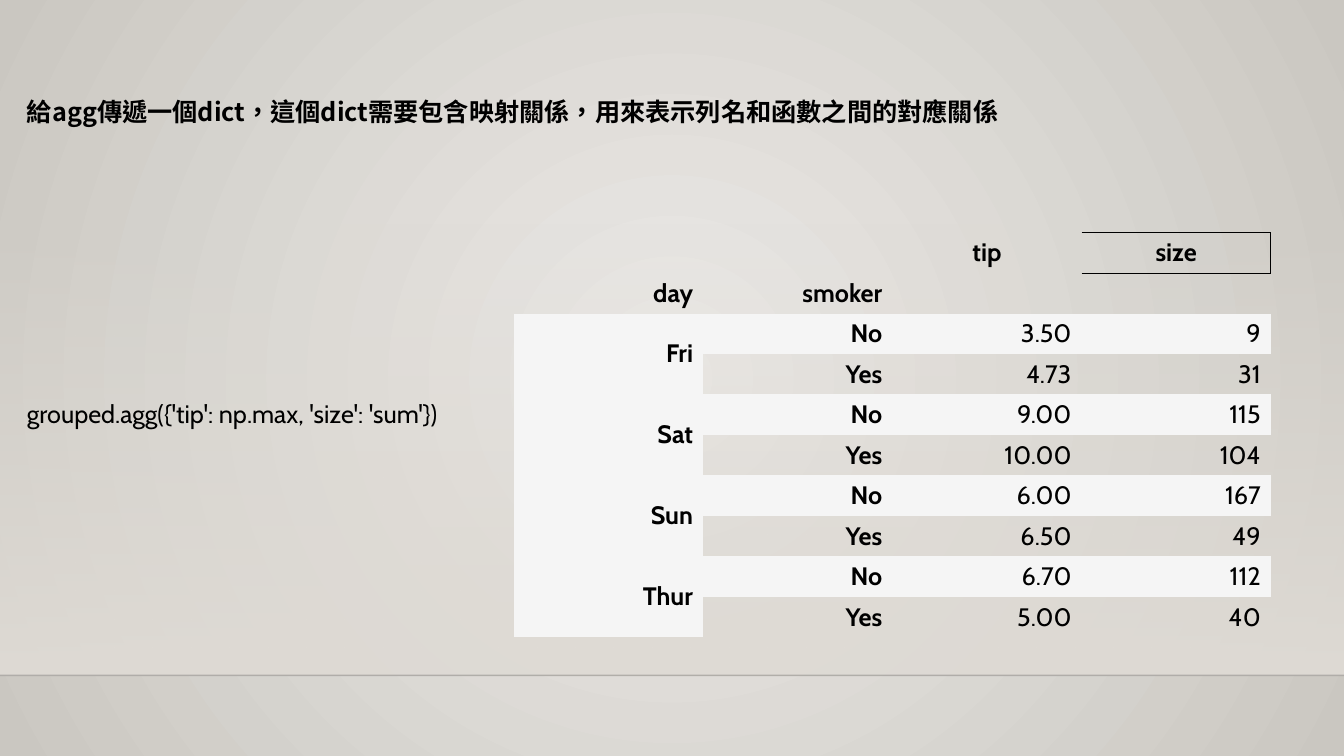
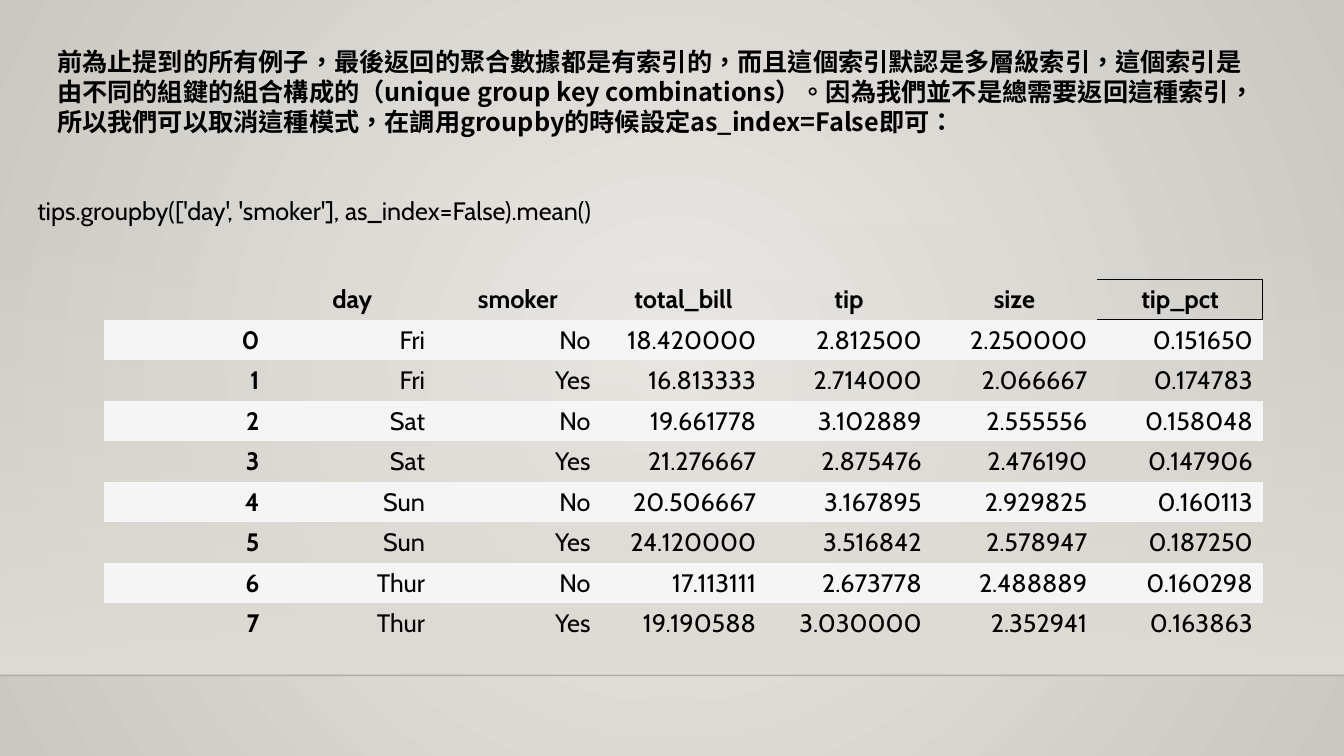
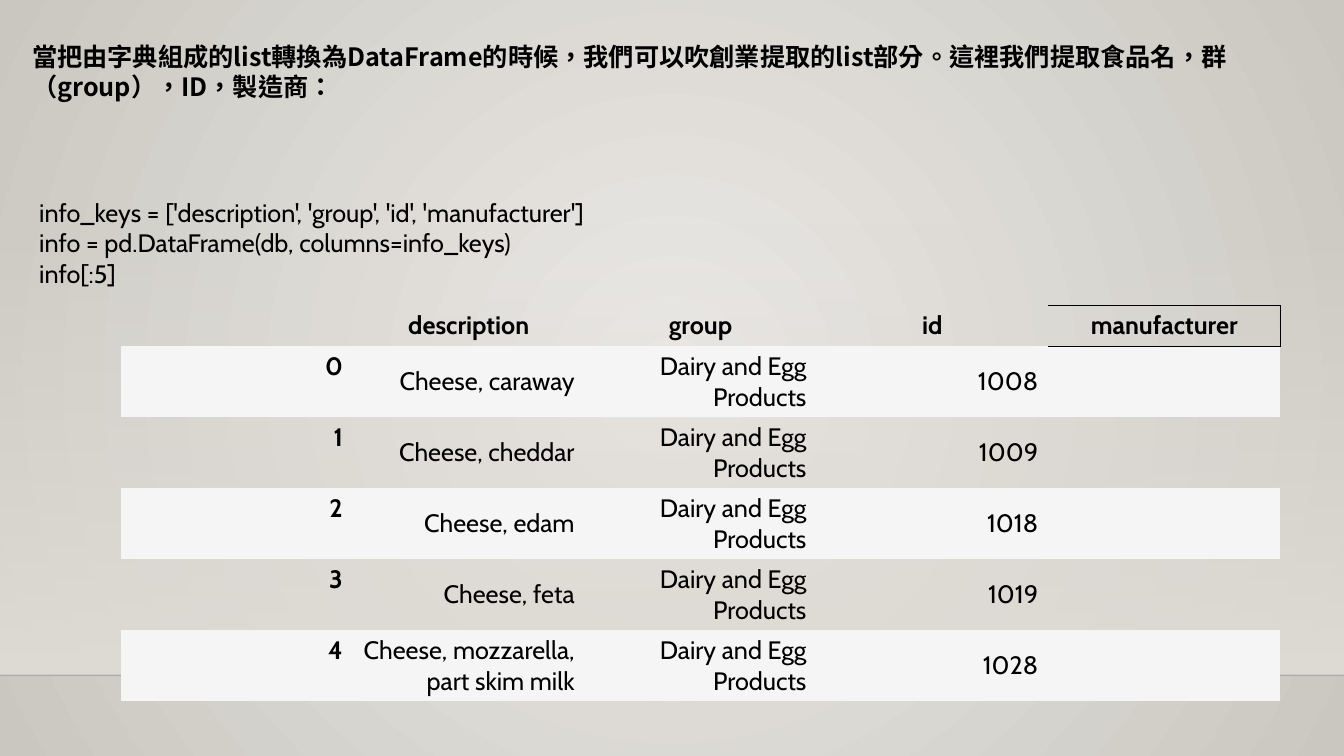
from typing import NamedTuple

from lxml.etree import SubElement
from pptx import Presentation
from pptx.dml.color import RGBColor
from pptx.enum.lang import MSO_LANGUAGE_ID
from pptx.enum.shapes import MSO_CONNECTOR, MSO_SHAPE
from pptx.enum.text import MSO_ANCHOR, PP_ALIGN
from pptx.oxml import parse_xml
from pptx.oxml.ns import nsdecls, qn
from pptx.util import Cm, Pt

COLORS = {
    "centre": "ECEAE7",
    "edge": "CAC7C1",
    "wall": "DFDBD5",
    "horizon": "000001",
    "text": "000000",
    "stripe": "F5F5F5",
}
TITLE_FONT = "Noto Sans CJK SC"
BODY_FONT = "Cabin"
PLAIN_TABLE_STYLE = "{2D5ABB26-0587-4C30-8999-92F81FD0307C}"
SLIDE_WIDTH, SLIDE_HEIGHT = 33.87, 19.05
WALL_TOP, HORIZON = 5.61, 17.02
ROW, TALL_ROW = 1.02, 1.79


class Box(NamedTuple):
    """A region of a slide, in centimetres."""

    left: float
    top: float
    width: float
    height: float

    def lengths(self):
        """Return the four values as lengths."""
        return [Cm(value) for value in self]


def color(name):
    """Return a named colour."""
    return RGBColor.from_string(COLORS[name])


def set_attributes(target, values):
    """Set each attribute of the target from a dict."""
    for name, value in values.items():
        setattr(target, name, value)


def set_alpha(element, percent):
    """Make an RGB colour element partly transparent."""
    SubElement(element, qn("a:alpha")).set("val", str(percent * 1000))


def fill_gradient(fill, names):
    """Give a fill two evenly blended colours."""
    fill.gradient()
    for stop, name, position in zip(fill.gradient_stops, names, (0, 1)):
        stop.color.rgb = color(name)
        stop.position = position


def set_background(master):
    """Give every slide a gradient that spreads from its centre."""
    fill_gradient(master.background.fill, ("centre", "edge"))
    gradient = master.element.find(".//" + qn("a:gradFill"))
    gradient.replace(gradient.find(qn("a:lin")), parse_xml(
        f'<a:path {nsdecls("a")} path="circle">'
        '<a:fillToRect l="50000" t="50000" r="50000" b="50000"/></a:path>'))


def add_wall(slide, box):
    """Add the fading wall and the horizon line at its foot."""
    wall = slide.shapes.add_shape(MSO_SHAPE.RECTANGLE, *box.lengths())
    wall.shadow.inherit = False
    wall.line.fill.background()
    fill_gradient(wall.fill, ("wall", "wall"))
    wall.fill.gradient_angle = 270
    set_alpha(wall.element.find(".//" + qn("a:srgbClr")), 0)

    foot = Cm(box.top + box.height)
    horizon = slide.shapes.add_connector(
        MSO_CONNECTOR.STRAIGHT, Cm(box.left), foot, Cm(box.left + box.width), foot)
    horizon.line.width = Pt(1)
    horizon.line.color.rgb = color("horizon")
    set_alpha(horizon.element.find(".//" + qn("a:srgbClr")), 20)
    SubElement(horizon.element.spPr, qn("a:effectLst"))


def write(paragraph, text, font_name=BODY_FONT, bold=False):
    """Add one formatted run to a paragraph and return it."""
    run = paragraph.add_run()
    run.text = text
    set_attributes(run.font, {"name": font_name, "size": Pt(18), "bold": bold})
    run.font.color.rgb = color("text")
    return run


def add_text_frame(slide, box):
    """Add a wrapping text box and return its frame."""
    frame = slide.shapes.add_textbox(*box.lengths()).text_frame
    frame.word_wrap = True
    return frame


def add_title(slide, box, text):
    """Add the bold explanation at the top of a slide."""
    run = write(add_text_frame(slide, box).paragraphs[0], text, TITLE_FONT, True)
    run.font.language_id = MSO_LANGUAGE_ID.TRADITIONAL_CHINESE
    SubElement(run.font._element, qn("a:ea")).set("typeface", TITLE_FONT)


def add_code(slide, box, lines):
    """Add lines of code, one to a paragraph."""
    frame = add_text_frame(slide, box)
    for index, line in enumerate(lines):
        paragraph = frame.add_paragraph() if index else frame.paragraphs[0]
        write(paragraph, line)


def outline_cell(cell):
    """Draw the right, top and bottom borders of a cell."""
    properties = cell._tc.get_or_add_tcPr()
    for index, side in enumerate("RTB"):
        properties.insert(index, parse_xml(
            f'<a:ln{side} {nsdecls("a")} w="9525"><a:solidFill>'
            f'<a:srgbClr val="{COLORS["text"]}"/></a:solidFill></a:ln{side}>'))


def add_data_table(slide, box, rows, row_height=ROW, header_rows=1,
                   index_columns=1, index_anchor=MSO_ANCHOR.MIDDLE):
    """Add a striped table; an empty index cell joins the one above it."""
    column_count = len(rows[0])
    table = slide.shapes.add_table(len(rows), column_count, *box.lengths()).table
    set_attributes(table, {"first_row": False, "horz_banding": False})
    table._tbl.tblPr.find(qn("a:tableStyleId")).text = PLAIN_TABLE_STYLE
    for column in table.columns:
        column.width = Cm(box.width / column_count)

    for row_index, values in enumerate(rows):
        body = row_index >= header_rows
        striped = body and (row_index - header_rows) % 2 == 0
        table.rows[row_index].height = Cm(row_height if body else ROW)
        for column_index, text in enumerate(values):
            cell = table.cell(row_index, column_index)
            is_index = body and column_index < index_columns
            cell.vertical_anchor = index_anchor if is_index else MSO_ANCHOR.MIDDLE
            if striped:
                cell.fill.solid()
                cell.fill.fore_color.rgb = color("stripe")
            else:
                cell.fill.background()
            paragraph = cell.text_frame.paragraphs[0]
            paragraph.alignment = PP_ALIGN.RIGHT if row_index else PP_ALIGN.CENTER
            if text:
                write(paragraph, text, bold=is_index or not body)
            elif is_index:
                table.cell(row_index - 1, column_index).merge(cell)
    outline_cell(table.cell(0, column_count - 1))


def add_slide(presentation):
    """Add a blank slide with the shared wall."""
    slide = presentation.slides.add_slide(presentation.slide_layouts[6])
    add_wall(slide, Box(0, WALL_TOP, SLIDE_WIDTH, HORIZON - WALL_TOP))
    return slide


def add_mapping_slide(presentation):
    """Show agg with a dict of columns and functions."""
    slide = add_slide(presentation)
    add_title(slide, Box(0.43, 2.31, 25.07, 1.8),
              "給agg傳遞一個dict，這個dict需要包含映射關係，用來表示列名和函數之間的對應關係")
    add_code(slide, Box(0.43, 9.91, 11.3, ROW),
             ["grouped.agg({'tip': np.max, 'size': 'sum'})"])
    rows = [
        ("", "", "tip", "size"),
        ("day", "smoker", "", ""),
        ("Fri", "No", "3.50", "9"),
        ("", "Yes", "4.73", "31"),
        ("Sat", "No", "9.00", "115"),
        ("", "Yes", "10.00", "104"),
        ("Sun", "No", "6.00", "167"),
        ("", "Yes", "6.50", "49"),
        ("Thur", "No", "6.70", "112"),
        ("", "Yes", "5.00", "40"),
    ]
    add_data_table(slide, Box(12.95, 5.86, 19.08, ROW * len(rows)), rows,
                   header_rows=2, index_columns=2)


def add_flat_index_slide(presentation):
    """Show groupby without a hierarchical index."""
    slide = add_slide(presentation)
    add_title(slide, Box(1.19, 1.04, 30.94, 2.57),
              "前為止提到的所有例子，最後返回的聚合數據都是有索引的，而且這個索引默認是多層級索引，"
              "這個索引是由不同的組鍵的組合構成的（unique group key combinations）。"
              "因為我們並不是總需要返回這種索引，所以我們可以取消這種模式，"
              "在調用groupby的時候設定as_index=False即可：")
    add_code(slide, Box(0.69, 4.8, 14.8, ROW),
             ["tips.groupby(['day', 'smoker'], as_index=False).mean()"])
    rows = [
        ("", "day", "smoker", "total_bill", "tip", "size", "tip_pct"),
        ("0", "Fri", "No", "18.420000", "2.812500", "2.250000", "0.151650"),
        ("1", "Fri", "Yes", "16.813333", "2.714000", "2.066667", "0.174783"),
        ("2", "Sat", "No", "19.661778", "3.102889", "2.555556", "0.158048"),
        ("3", "Sat", "Yes", "21.276667", "2.875476", "2.476190", "0.147906"),
        ("4", "Sun", "No", "20.506667", "3.167895", "2.929825", "0.160113"),
        ("5", "Sun", "Yes", "24.120000", "3.516842", "2.578947", "0.187250"),
        ("6", "Thur", "No", "17.113111", "2.673778", "2.488889", "0.160298"),
        ("7", "Thur", "Yes", "19.190588", "3.030000", "2.352941", "0.163863"),
    ]
    add_data_table(slide, Box(2.62, 7.04, 29.21, ROW * len(rows)), rows)


def add_food_slide(presentation):
    """Show a list of dicts turned into a DataFrame."""
    slide = add_slide(presentation)
    add_title(slide, Box(0.56, 0.91, 33.07, 1.8),
              "當把由字典組成的list轉換為DataFrame的時候，我們可以吹創業提取的list部分。"
              "這裡我們提取食品名，群（group），ID，製造商：")
    add_code(slide, Box(0.74, 4.85, 16.94, 2.57), [
        "info_keys = ['description', 'group', 'id', 'manufacturer']",
        "info = pd.DataFrame(db, columns=info_keys)",
        "info[:5]",
    ])
    foods = [
        ("Cheese, caraway", "1008"),
        ("Cheese, cheddar", "1009"),
        ("Cheese, edam", "1018"),
        ("Cheese, feta", "1019"),
        ("Cheese, mozzarella, part skim milk", "1028"),
    ]
    rows = [("", "description", "group", "id", "manufacturer")]
    rows += [(str(index), name, "Dairy and Egg Products", number, "")
             for index, (name, number) in enumerate(foods)]
    add_data_table(slide, Box(3.05, 7.7, 29.21, ROW + TALL_ROW * len(foods)), rows,
                   row_height=TALL_ROW, index_anchor=MSO_ANCHOR.TOP)


def main():
    """Build and save the presentation."""
    presentation = Presentation()
    set_attributes(presentation, {
        "slide_width": Cm(SLIDE_WIDTH), "slide_height": Cm(SLIDE_HEIGHT)})
    set_background(presentation.slide_master)
    add_mapping_slide(presentation)
    add_flat_index_slide(presentation)
    add_food_slide(presentation)
    presentation.save("out.pptx")


if __name__ == "__main__":
    main()
